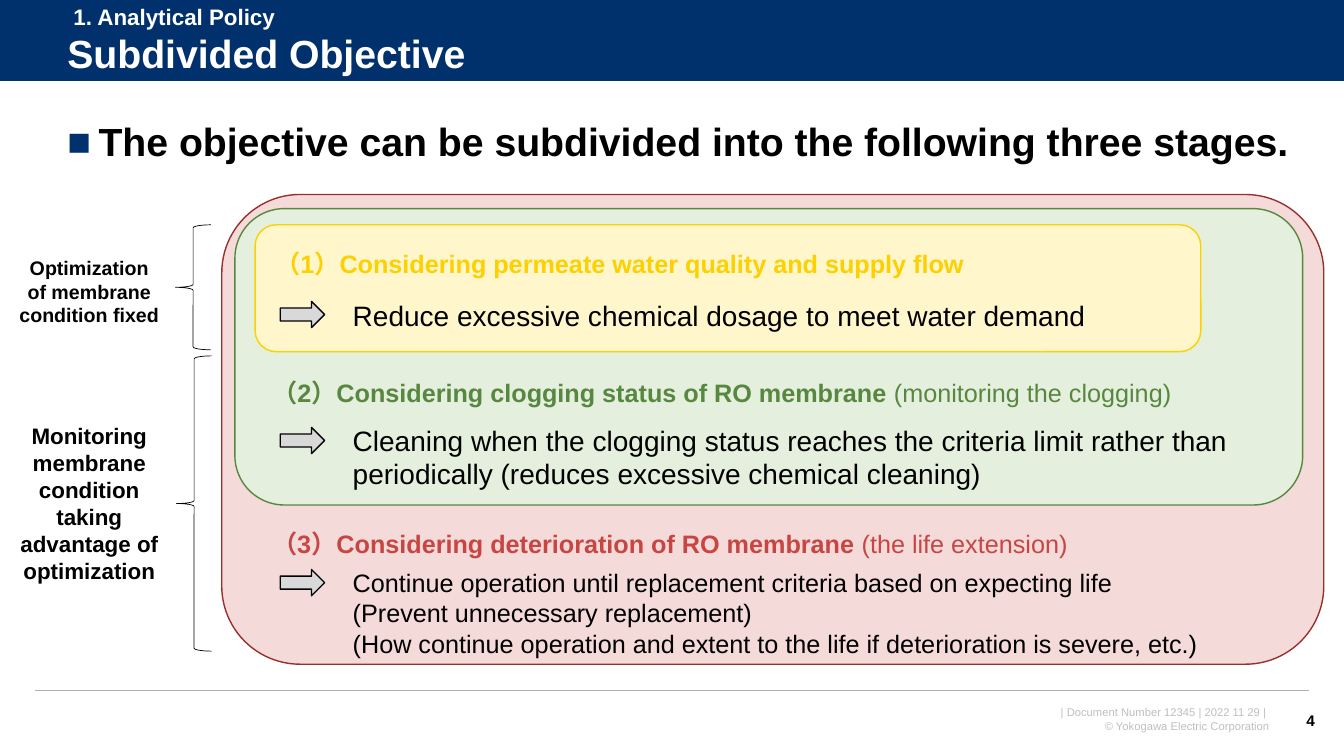
import pptx
import pptx.util
import pptx.dml.color
import pptx.enum.shapes
import pptx.enum.text
import pptx.oxml.ns
import lxml.etree

SHAPE = pptx.enum.shapes.MSO_SHAPE
ALIGN = pptx.enum.text.PP_ALIGN
ANCHOR = pptx.enum.text.MSO_ANCHOR
THEME = {
    "font": "Arial",
    "navy": "00316C", "white": "FFFFFF", "black": "000000",
    "rule": "B2B2B2", "footer": "BFBFBF", "arrow": "D9D9D9",
    "pink": "F4DAD9", "dark red": "9A302E", "red": "C74643",
    "mint": "E4EFDE", "green": "588740",
    "cream": "FFF6CC", "yellow": "FDD000",
    "title": 28, "action": 20, "stage": 18, "label": 16,
    "small label": 14, "number": 11, "fine": 8,
}

prs = pptx.Presentation()
prs.slide_width = pptx.util.Inches(13.33)
prs.slide_height = pptx.util.Inches(7.5)
s = prs.slides.add_slide(prs.slide_layouts[6])
COL = prs.slide_width / 1333
ROW = prs.slide_height / 750


def add_shape(kind, box, fill=None, line=None, width=1, turn=0):
    x, y, w, h = box
    sp = s.shapes.add_shape(kind, int(x * COL), int(y * ROW), int(w * COL), int(h * ROW))
    sp.shadow.inherit = False
    sp.rotation = turn
    if fill:
        sp.fill.solid()
        sp.fill.fore_color.rgb = pptx.dml.color.RGBColor.from_string(THEME[fill])
    else:
        sp.fill.background()
    if line:
        sp.line.color.rgb = pptx.dml.color.RGBColor.from_string(THEME[line])
        sp.line.width = pptx.util.Pt(width)
    else:
        sp.line.fill.background()


def add_text(box, paragraphs, size, color="black", align=ALIGN.LEFT,
             anchor=ANCHOR.TOP, spacing=None, bullet=None):
    x, y, w, h = box
    sp = s.shapes.add_textbox(int(x * COL), int(y * ROW), int(w * COL), int(h * ROW))
    tf = sp.text_frame
    tf.word_wrap = True
    tf.vertical_anchor = anchor
    for i, runs in enumerate(paragraphs):
        p = tf.paragraphs[0] if i == 0 else tf.add_paragraph()
        p.alignment = align
        if spacing:
            p.line_spacing = spacing
        if bullet:
            pPr = p._p.get_or_add_pPr()
            indent = int(31 * COL)
            pPr.set("marL", str(indent))
            pPr.set("indent", str(-indent))
            clr = lxml.etree.SubElement(pPr, pptx.oxml.ns.qn("a:buClr"))
            lxml.etree.SubElement(clr, pptx.oxml.ns.qn("a:srgbClr"), val=THEME["navy"])
            lxml.etree.SubElement(pPr, pptx.oxml.ns.qn("a:buFont"), typeface=THEME["font"])
            lxml.etree.SubElement(pPr, pptx.oxml.ns.qn("a:buChar"), char=bullet)
        for text, bold in runs:
            r = p.add_run()
            r.text = text
            r.font.name = THEME["font"]
            r.font.size = pptx.util.Pt(THEME[size])
            r.font.bold = bold
            r.font.color.rgb = pptx.dml.color.RGBColor.from_string(THEME[color])


add_text((948, 695, 321, 37),
         [[("| Document Number 12345 | 2022 11 29 | ", False)],
          [("© Yokogawa Electric Corporation", False)]],
         "fine", "footer", ALIGN.RIGHT)
add_shape(SHAPE.RECTANGLE, (0, 0, 1333, 81), "navy")
for left, right, y, color, width in [(0, 1333, 81, "white", 0.75),
                                     (35, 1298, 685, "rule", 1)]:
    rule = s.shapes.add_connector(pptx.enum.shapes.MSO_CONNECTOR.STRAIGHT,
                                  int(left * COL), int(y * ROW),
                                  int(right * COL), int(y * ROW))
    rule.line.color.rgb = pptx.dml.color.RGBColor.from_string(THEME[color])
    rule.line.width = pptx.util.Pt(width)
    lxml.etree.SubElement(rule._element.spPr, pptx.oxml.ns.qn("a:effectLst"))

for box, fill, line in [((220, 193, 1093, 466), "pink", "dark red"),
                        ((233, 207, 1059, 294), "mint", "green"),
                        ((253, 223, 938, 126), "cream", "yellow")]:
    add_shape(SHAPE.ROUNDED_RECTANGLE, box, fill, line)

add_text((57, 27, 1247, 57), [[("Subdivided Objective", True)]], "title", "white",
         anchor=ANCHOR.MIDDLE, spacing=0.9)
add_text((63, -2, 495, 37), [[("1. Analytical Policy", True)]], "label", "white")
add_text((57, 117, 1240, 66),
         [[("The objective can be subdivided into the following three stages.", True)]],
         "title", spacing=0.9, bullet="■")
add_text((1270, 695, 44, 40), [[("4", True)]], "number",
         align=ALIGN.RIGHT, anchor=ANCHOR.MIDDLE)

stages = [
    ((263, 241, 938, 40), "yellow",
     [("（1）Considering permeate water quality and supply flow", True)],
     290, (340, 291, 773, 44), "action",
     ["Reduce excessive chemical dosage to meet water demand"]),
    ((260, 369, 992, 40), "green",
     [("（2）Considering clogging status of RO membrane ", True),
      ("(monitoring the clogging)", False)],
     415, (340, 415, 896, 77), "action",
     ["Cleaning when the clogging status reaches the criteria limit rather than "
      "periodically (reduces excessive chemical cleaning)"]),
    ((260, 519, 976, 40), "red",
     [("（3）Considering deterioration of RO membrane ", True),
      ("(the life extension)", False)],
     556, (340, 558, 935, 101), "stage",
     ["Continue operation until replacement criteria based on expecting life",
      "(Prevent unnecessary replacement)",
      "(How continue operation and extent to the life if deterioration is severe, etc.)"]),
]
for head_box, color, head, arrow_y, action_box, size, actions in stages:
    add_text(head_box, [head], "stage", color)
    add_shape(SHAPE.DOWN_ARROW, (287, arrow_y, 26, 44), "arrow", "black", turn=270)
    add_text(action_box, [[(action, False)] for action in actions], size)

phases = [
    ((174, 223, 35, 124), (9, 249, 159, 81), "small label",
     "Optimization of membrane condition fixed"),
    ((175, 353, 35, 293), (9, 414, 159, 172), "label",
     "Monitoring membrane condition taking advantage of optimization"),
]
for brace_box, label_box, size, label in phases:
    add_shape(SHAPE.RIGHT_BRACE, brace_box, line="black", width=0.5, turn=180)
    add_text(label_box, [[(label, True)]], size, align=ALIGN.CENTER)

prs.save("out.pptx")
